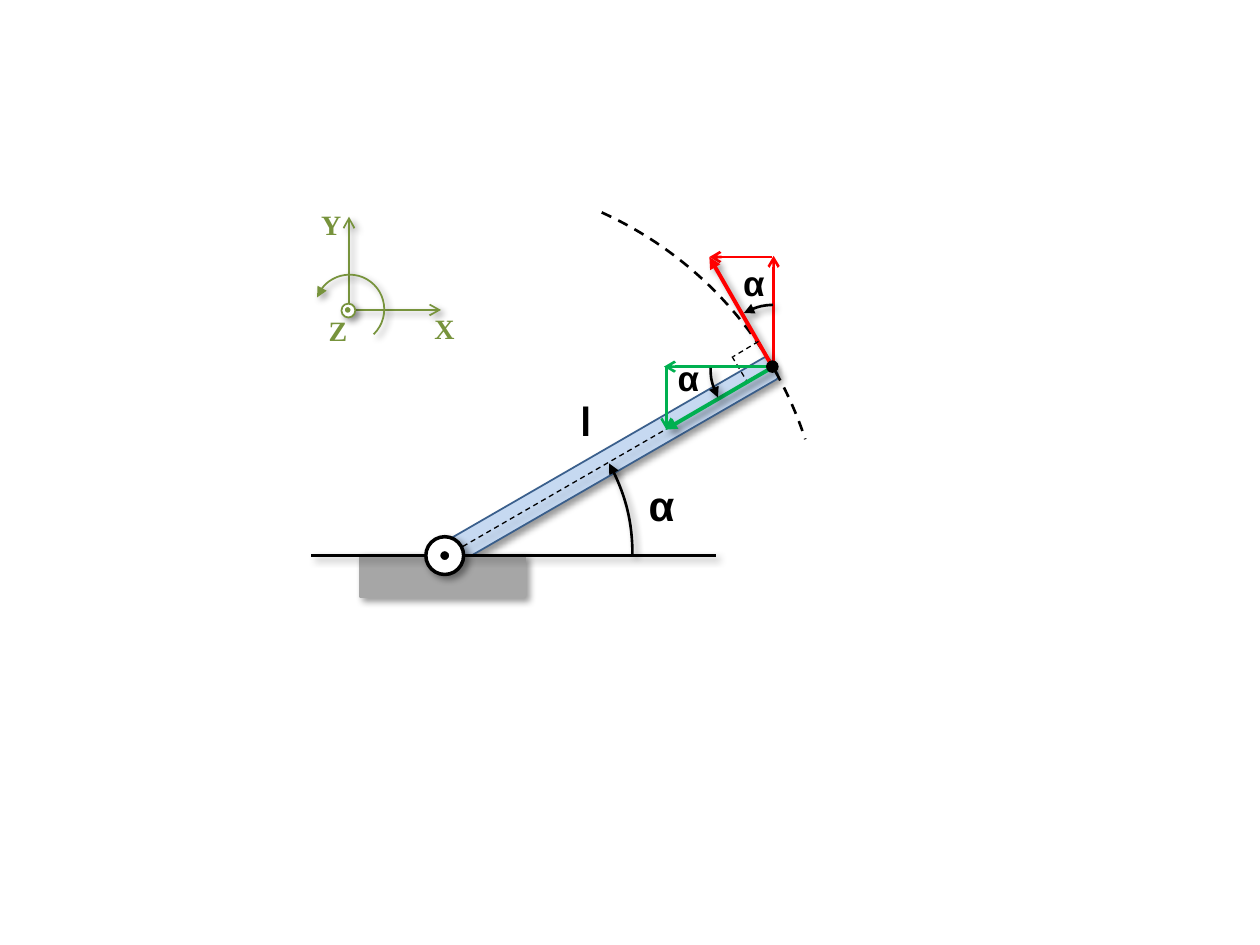
from lxml import etree
from pptx import Presentation
from pptx.dml.color import RGBColor
from pptx.enum.dml import MSO_LINE
from pptx.enum.shapes import MSO_CONNECTOR, MSO_SHAPE
from pptx.enum.text import MSO_AUTO_SIZE
from pptx.oxml.ns import qn
from pptx.util import Inches, Pt

BLACK = RGBColor(0x00, 0x00, 0x00)
WHITE = RGBColor(0xFF, 0xFF, 0xFF)
GRAY = RGBColor(0xA6, 0xA6, 0xA6)
ROD_FILL = RGBColor(0xC6, 0xD9, 0xF1)
ROD_EDGE = RGBColor(0x3A, 0x5F, 0x8C)
RED = RGBColor(0xFF, 0x00, 0x00)
GREEN = RGBColor(0x00, 0xB0, 0x50)
OLIVE = RGBColor(0x77, 0x93, 0x3C)

DASH = MSO_LINE.DASH
ARC, OVAL = MSO_SHAPE.ARC, MSO_SHAPE.OVAL
RECTANGLE, ROUNDED = MSO_SHAPE.RECTANGLE, MSO_SHAPE.ROUNDED_RECTANGLE
STRAIGHT = MSO_CONNECTOR.STRAIGHT
FIT_SHAPE = MSO_AUTO_SIZE.SHAPE_TO_FIT_TEXT
ARC_UNITS_PER_DEGREE = 0.6  # angles are stored in 1/60000 degree, read per 100000


def set_line(item, color, width, dash=None):
    item.line.color.rgb = color
    for name, value in {"width": Pt(width), "dash_style": dash}.items():
        setattr(item.line, name, value)


def set_arrowhead(item, end, kind):
    etree.SubElement(item.line._get_or_add_ln(), qn(f"a:{end}"), type=kind)


def set_shadow(item, visible):
    """Replace the theme shadow by none, or by a soft one to the lower right."""
    effects = etree.SubElement(item._element.spPr, qn("a:effectLst"))
    if visible:
        shadow = etree.SubElement(
            effects, qn("a:outerShdw"), blurRad=str(Pt(4)), dist=str(Pt(3)),
            dir="2700000", algn="tl", rotWithShape="0")
        color = etree.SubElement(shadow, qn("a:srgbClr"), val=str(BLACK))
        etree.SubElement(color, qn("a:alpha"), val="40000")


def add_shape(shapes, kind, box, fill=None, line=None, shadow=True):
    shape = shapes.add_shape(kind, *map(Inches, box))
    if fill is None:
        shape.fill.background()
    else:
        shape.fill.solid()
        shape.fill.fore_color.rgb = fill
    if line is None:
        shape.line.fill.background()
    else:
        set_line(shape, *line)
    set_shadow(shape, shadow)
    return shape


def add_arc(shapes, box, start, end, line, arrow=True):
    arc = add_shape(shapes, ARC, box, line=line, shadow=arrow)
    for index, angle in enumerate((start, end)):
        arc.adjustments[index] = angle * ARC_UNITS_PER_DEGREE
    if arrow:
        set_arrowhead(arc, "headEnd", "triangle")


def add_line(shapes, start, end, line, tail=None, shadow=False):
    connector = shapes.add_connector(STRAIGHT, *map(Inches, start + end))
    set_line(connector, *line)
    if tail:
        set_arrowhead(connector, "tailEnd", tail)
    set_shadow(connector, shadow)


def add_label(shapes, text, box, size, font="Arial", color=BLACK):
    frame = shapes.add_textbox(*map(Inches, box)).text_frame
    frame.word_wrap = False
    frame.auto_size = FIT_SHAPE
    run = frame.paragraphs[0].add_run()
    run.text = text
    for name, value in {"name": font, "size": Pt(size), "bold": True}.items():
        setattr(run.font, name, value)
    run.font.color.rgb = color


def add_rod(shapes):
    rod = add_shape(shapes, ROUNDED, (4.74, 2.16, 0.2, 3), ROD_FILL, (ROD_EDGE, 1))
    rod.rotation = 60
    # Path of the rod end, ground and base line
    add_arc(shapes, (0.54, 1.42, 6, 6), 294.32, 341.87, (BLACK, 1.5, DASH), arrow=False)
    add_shape(shapes, RECTANGLE, (2.86, 4.41, 1.3, 0.32), GRAY, (GRAY, 2))
    add_line(shapes, (2.47, 4.41), (5.68, 4.41), (BLACK, 1.5), shadow=True)
    add_label(shapes, "α", (5.05, 3.76, 0.41, 0.5), 24)
    add_label(shapes, "l", (4.51, 3.08, 0.35, 0.5), 24, "Calibri")
    add_line(shapes, (6.13, 2.92), (3.53, 4.42), (BLACK, 0.75, DASH), shadow=True)
    # Pivot
    pivot = shapes.add_group_shape().shapes
    add_shape(pivot, OVAL, (3.38, 4.26, 0.3, 0.3), WHITE, (BLACK, 2))
    add_shape(pivot, OVAL, (3.48, 4.36, 0.1, 0.1), BLACK, (WHITE, 2), shadow=False)
    add_arc(shapes, (2.02, 2.9, 3, 3), 331.26, 0, (BLACK, 1.5))


def add_vectors(shapes):
    # Tangential vector and its components
    add_line(shapes, (6.13, 2.04), (5.63, 2.04), (RED, 1.5), "arrow")
    add_line(shapes, (6.14, 2.9), (6.14, 2.03), (RED, 1.5), "arrow")
    add_line(shapes, (6.13, 2.91), (5.63, 2.04), (RED, 2.25), "triangle", True)
    add_arc(shapes, (5.65, 2.42, 1, 1), 240.54, 268.18, (BLACK, 1.5))
    add_label(shapes, "α", (5.8, 2.03, 0.38, 0.44), 20)
    # Right-angle mark
    corner = shapes.add_group_shape().shapes
    add_line(corner, (6.02, 2.71), (5.82, 2.83), (BLACK, 0.75, DASH))
    add_line(corner, (5.81, 2.83), (5.93, 3.03), (BLACK, 0.75, DASH))
    # Radial vector and its components
    add_line(shapes, (6.14, 2.91), (5.27, 2.91), (GREEN, 1.5), "arrow")
    add_line(shapes, (5.29, 2.91), (5.29, 3.41), (GREEN, 1.5), "arrow")
    add_line(shapes, (6.14, 2.91), (5.28, 3.41), (GREEN, 2.25), "triangle", True)
    add_arc(shapes, (5.64, 2.42, 1, 1), 152, 179.93, (BLACK, 1.5))
    add_label(shapes, "α", (5.28, 2.78, 0.38, 0.44), 20)
    # Rod end
    add_shape(shapes, OVAL, (6.08, 2.86, 0.1, 0.1), BLACK, shadow=False)


def add_axes(shapes):
    axes = shapes.add_group_shape().shapes
    for tip in ((3.5, 2.46), (2.77, 1.72)):
        add_line(axes, (2.77, 2.46), tip, (OLIVE, 1), "arrow", True)
    add_shape(axes, OVAL, (2.71, 2.41, 0.11, 0.11), WHITE, (OLIVE, 1))
    add_shape(axes, OVAL, (2.73, 2.43, 0.06, 0.06), OLIVE, (WHITE, 1), shadow=False)
    for text, left, top in (("Y", 2.45, 1.6), ("X", 3.35, 2.42), ("Z", 2.51, 2.44)):
        add_label(axes, text, (left, top, 0.36, 0.37), 16, "Times New Roman", OLIVE)
    add_arc(axes, (2.5, 2.18, 0.55, 0.55), 200.1, 46.18, (OLIVE, 1))


def main():
    presentation = Presentation()
    presentation.slide_width = Inches(10)
    presentation.slide_height = Inches(7.5)
    slide = presentation.slides.add_slide(presentation.slide_layouts[6])
    add_rod(slide.shapes)
    add_vectors(slide.shapes)
    add_axes(slide.shapes)
    presentation.save("out.pptx")


if __name__ == "__main__":
    main()
